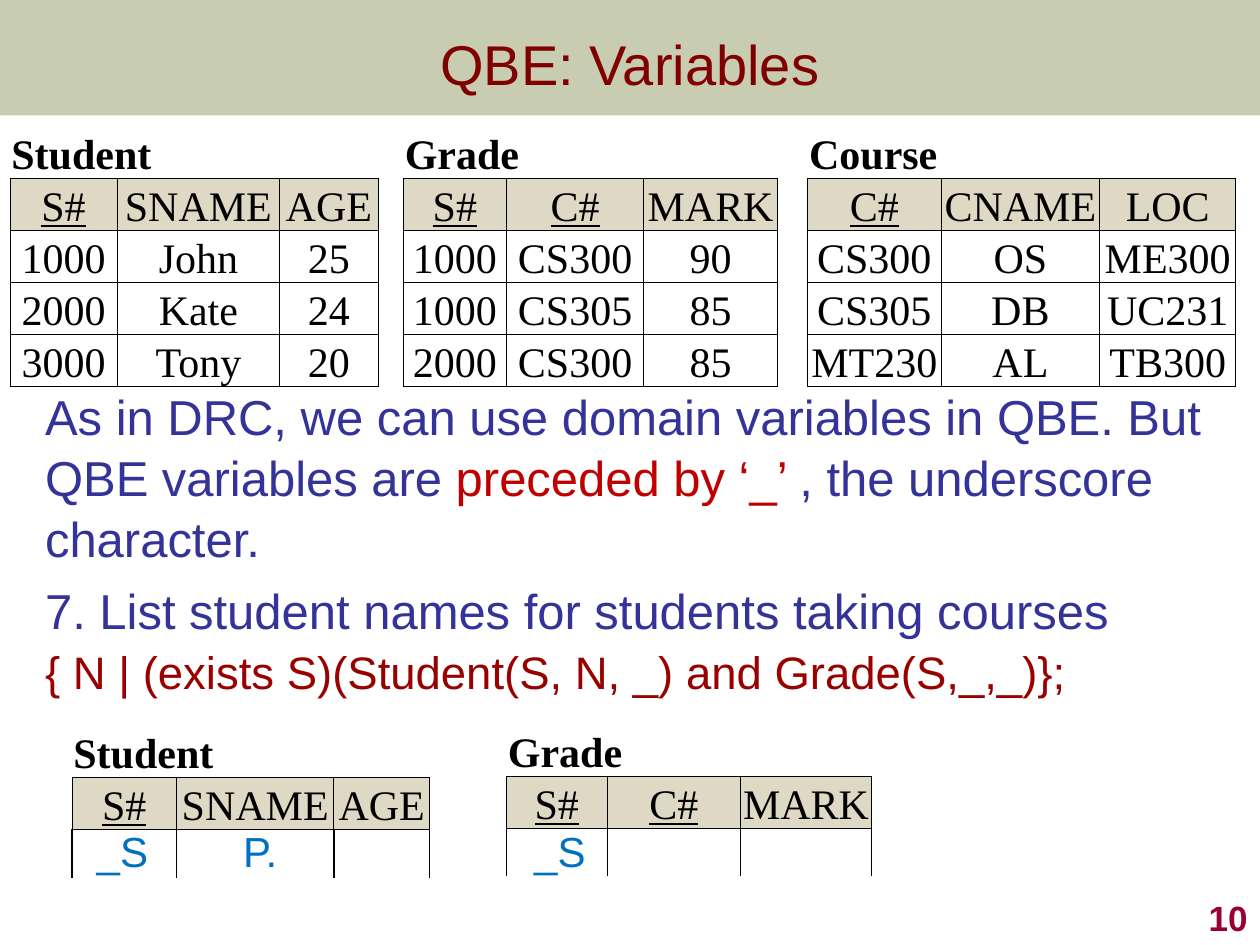
from lxml import etree
from pptx import Presentation
from pptx import util as u
from pptx.dml.color import RGBColor
from pptx.enum import shapes, text
from pptx.oxml import ns

Cm, Pt = u.Cm, u.Pt
COLORS = {"band": "677228", "title": "800000", "body": "333399", "accent": "C00000",
          "query": "990000", "entry": "0070C0", "number": "990033",
          "header": "DDD9C4", "white": "FFFFFF", "black": "000000"}


def add_text(tf, paragraphs, align=text.PP_ALIGN.LEFT, font="Arial", bold=False):
    """Each paragraph is a list of (text, size, colour) runs."""
    for i, runs in enumerate(paragraphs):
        p = tf.paragraphs[0] if i == 0 else tf.add_paragraph()
        p.alignment = align
        for words, size, color in runs:
            r = p.add_run()
            r.text = words
            r.font.name, r.font.size, r.font.bold = font, Pt(size), bold
            r.font.color.rgb = RGBColor.from_string(COLORS[color])


def add_relations(left, top, row_height, widths, rows, entry_width=0.5):
    """Row 0 holds names, row 1 attributes; None marks a gap between relations."""
    tbl = s.shapes.add_table(len(rows), len(widths), Cm(left), Cm(top),
                             Cm(sum(widths)), Cm(row_height * len(rows))).table
    tbl.first_row = tbl.horz_banding = False
    for col, width in zip(tbl.columns, widths):
        col.width = Cm(width)
    for i, row in enumerate(rows):
        tbl.rows[i].height = Cm(row_height)
        for j, value in enumerate(row):
            cell = tbl.cell(i, j)
            cell.margin_left = cell.margin_right = cell.margin_top = Cm(0.03)
            cell.margin_bottom = 0
            cell.vertical_anchor = text.MSO_ANCHOR.BOTTOM
            if i == 0 and value:
                cell.merge(tbl.cell(0, j + 2))
            if value:
                align = text.PP_ALIGN.CENTER if i else text.PP_ALIGN.LEFT
                add_text(cell.text_frame, [[(value, 24, "black")]], align,
                         "Times New Roman", i == 0)
                if i == 1 and value.endswith("#"):
                    cell.text_frame.paragraphs[0].runs[0].font.underline = True
            # Borders: none around names, none below an empty entry row
            if i == 0:
                edges = "" if value is None else "B"
            elif value is None:
                edges = "LR"
            else:
                edges = "LRTB" if value else "LRT"
            width = 0.5 if value or i < 2 else entry_width
            tcPr = cell._tc.get_or_add_tcPr()
            for side in "LRTB":
                ln = etree.SubElement(tcPr, ns.qn("a:ln" + side), w=str(Pt(width)))
                if side in edges:
                    fill = etree.SubElement(ln, ns.qn("a:solidFill"))
                    etree.SubElement(fill, ns.qn("a:srgbClr"), val=COLORS["black"])
                else:
                    etree.SubElement(ln, ns.qn("a:noFill"))
            cell.fill.solid()
            color = "header" if i == 1 and value else "white"
            cell.fill.fore_color.rgb = RGBColor.from_string(COLORS[color])


prs = Presentation()
prs.slide_width, prs.slide_height = Cm(25.4), Cm(19.05)
s = prs.slides.add_slide(prs.slide_layouts[6])

# Title band
sp = s.shapes.add_shape(shapes.MSO_SHAPE.RECTANGLE, 0, 0, prs.slide_width, Cm(2.33))
sp.shadow.inherit = False
sp.line.fill.background()
sp.fill.solid()
sp.fill.fore_color.rgb = RGBColor.from_string(COLORS["band"])
clr = sp._element.spPr.find(".//" + ns.qn("a:srgbClr"))
etree.SubElement(clr, ns.qn("a:alpha"), val="36000")

# Title
tf = s.shapes.add_textbox(0, 0, prs.slide_width, Cm(2.54)).text_frame
tf.word_wrap = True
tf.vertical_anchor = text.MSO_ANCHOR.MIDDLE
add_text(tf, [[("QBE: Variables", 32, "title")]], text.PP_ALIGN.CENTER)

# Explanation and query
tf = s.shapes.add_textbox(Cm(0.66), Cm(7.62), Cm(24.1), Cm(6.55)).text_frame
tf.word_wrap = True
tf.margin_right = 0
add_text(tf, [
    [("As in DRC, we can use domain variables in QBE. But QBE variables are ", 28, "body"),
     ("preceded by ‘_’ ", 28, "accent"),
     (", the underscore character.", 28, "body")],
    [("7. List student names for students taking courses", 28, "body")],
    [("{ N | (exists S)(Student(S, N, _) and Grade(S,_,_)};", 26, "query")],
])
for p, spacing, before in zip(tf.paragraphs, (1.04, 1.04, 0.9), (0, 6, 6.5)):
    p.line_spacing, p.space_before = spacing, Pt(before)

# Slide number
tf = s.shapes.add_textbox(Cm(20.12), Cm(17.78), Cm(5.28), Cm(1.27)).text_frame
tf.word_wrap = True
tf.vertical_anchor = text.MSO_ANCHOR.BOTTOM
add_text(tf, [[("10", 20, "number")]], text.PP_ALIGN.RIGHT, bold=True)

# Query tables
add_relations(1.45, 14.63, 0.97, [2.11, 3.17, 1.93],
              [["Student", "", ""], ["S#", "SNAME", "AGE"], ["", "", ""]], 1)
add_relations(10.21, 14.6, 0.97, [2.03, 2.69, 2.64],
              [["Grade", "", ""], ["S#", "C#", "MARK"], ["", "", ""]])

# Query entries
for words, left, width in (("P.", 4.65, 1.22), ("_S", 1.7, 1.55), ("_S", 10.52, 1.55)):
    tf = s.shapes.add_textbox(Cm(left), Cm(16.51), Cm(width), Cm(1.27)).text_frame
    tf.word_wrap = False
    add_text(tf, [[(words, 24, "entry")]])

# Sample data
add_relations(0.2, 2.54, 1.05,
              [2.16, 3.28, 1.98, 0.51, 2.08, 2.77, 2.69, 0.61, 2.69, 3.2, 2.74], [
    ["Student", "", "", None, "Grade", "", "", None, "Course", "", ""],
    ["S#", "SNAME", "AGE", None, "S#", "C#", "MARK", None, "C#", "CNAME", "LOC"],
    ["1000", "John", "25", None, "1000", "CS300", "90", None, "CS300", "OS", "ME300"],
    ["2000", "Kate", "24", None, "1000", "CS305", "85", None, "CS305", "DB", "UC231"],
    ["3000", "Tony", "20", None, "2000", "CS300", "85", None, "MT230", "AL", "TB300"],
])

prs.save("out.pptx")
